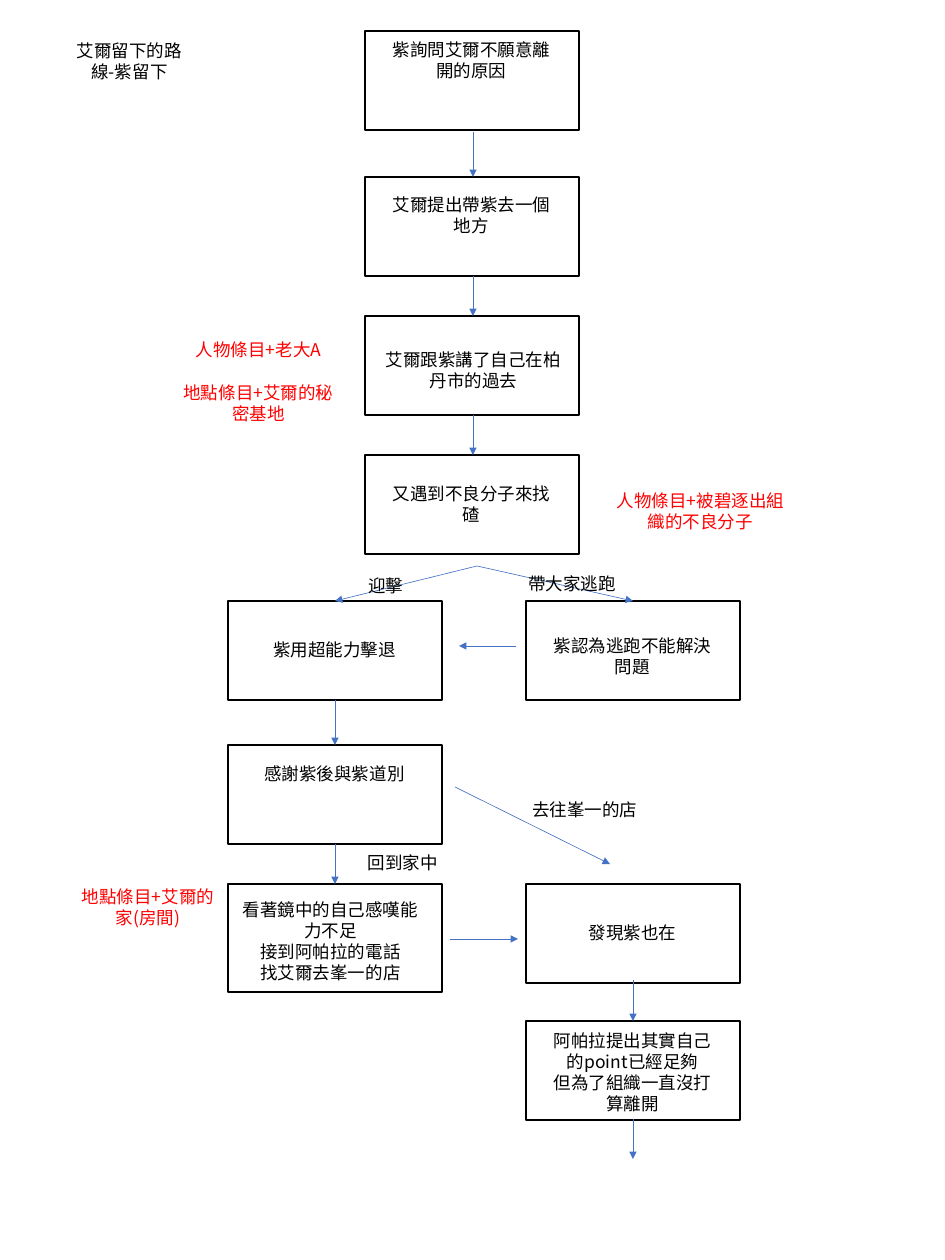
import pptx
import pptx.util
import pptx.dml.color
import pptx.enum.shapes
import pptx.enum.text
import pptx.oxml
import pptx.oxml.ns

PX = 10160  # EMU in one pixel, 90 pixels to the inch
FONT = "Noto Sans CJK SC"
BLACK, WHITE, RED, BLUE = "000000", "FFFFFF", "FF0000", "4472C4"


def color(value):
    return pptx.dml.color.RGBColor.from_string(value)


def add_text(shapes, x, y, w, h, lines, ink=BLACK, gap=0):
    tb = shapes.add_textbox(x * PX, y * PX, w * PX, h * PX)
    tf = tb.text_frame
    tf.word_wrap = True
    tf.auto_size = pptx.enum.text.MSO_AUTO_SIZE.SHAPE_TO_FIT_TEXT
    tf.text = lines
    for i, p in enumerate(tf.paragraphs):
        p.alignment = pptx.enum.text.PP_ALIGN.CENTER
        if i:
            p.space_before = pptx.util.Pt(gap)
        for r in p.runs:
            r.font.size = pptx.util.Pt(14)
            r.font.name = FONT
            r.font.color.rgb = color(ink)
            ea = pptx.oxml.parse_xml(
                '<a:ea %s typeface="%s"/>' % (pptx.oxml.ns.nsdecls("a"), FONT))
            r.font._element.append(ea)


prs = pptx.Presentation()
prs.slide_width, prs.slide_height = 945 * PX, 1260 * PX
slide = prs.slides.add_slide(prs.slide_layouts[6])

# Step boxes: left, top, height, text top, text width, text height, text
BOX_W, BOX_H = 214, 99
LEFT, MID, RIGHT = 228, 365, 526
steps = [
    (MID, 31, BOX_H, 35, 183, 51, "紫詢問艾爾不願意離開的原因"),
    (MID, 177, BOX_H, 190, 183, 51, "艾爾提出帶紫去一個地方"),
    (MID, 316, BOX_H, 345, 197, 51, "艾爾跟紫講了自己在柏丹市的過去"),
    (MID, 455, BOX_H, 479, 183, 51, "又遇到不良分子來找碴"),
    (LEFT, 601, BOX_H, 635, 187, 31, "紫用超能力擊退"),
    (RIGHT, 601, BOX_H, 631, 187, 51, "紫認為逃跑不能解決問題"),
    (LEFT, 745, BOX_H, 759, 183, 31, "感謝紫後與紫道別"),
    (LEFT, 884, 108, 895, 197, 94,
     "看著鏡中的自己感嘆能力不足\n接到阿帕拉的電話\n找艾爾去峯一的店"),
    (RIGHT, 884, BOX_H, 918, 187, 31, "發現紫也在"),
    (RIGHT, 1021, BOX_H, 1026, 183, 94,
     "阿帕拉提出其實自己的point已經足夠\n但為了組織一直沒打算離開"),
]
for x, y, h, text_y, text_w, text_h, text in steps:
    group = slide.shapes.add_group_shape()
    sp = group.shapes.add_shape(pptx.enum.shapes.MSO_SHAPE.RECTANGLE,
                                x * PX, y * PX, BOX_W * PX, h * PX)
    sp.shadow.inherit = False
    sp.fill.solid()
    sp.fill.fore_color.rgb = color(WHITE)
    sp.line.color.rgb = color(BLACK)
    sp.line.width = pptx.util.Pt(1)
    text_x = x + (BOX_W - text_w) // 2
    if text_w == 197:  # the wide texts sit a little left of centre
        text_x = x + (10 if x == MID else 4)
    add_text(group.shapes, text_x, text_y, text_w, text_h, text)

# Arrows: from x, y to x, y
mid_x, left_x, right_x = 473, 335, 633
arrows = [
    (mid_x, 132, mid_x, 177),
    (mid_x, 276, mid_x, 316),
    (mid_x, 415, mid_x, 455),
    (477, 566, left_x, 601),
    (477, 566, right_x, 601),
    (516, 646, 459, 646),
    (left_x, 700, left_x, 745),
    (left_x, 844, left_x, 884),
    (455, 787, 610, 864),
    (450, 939, 518, 939),
    (right_x, 980, right_x, 1021),
    (right_x, 1119, right_x, 1159),
]
for ends in arrows:
    line = slide.shapes.add_connector(
        pptx.enum.shapes.MSO_CONNECTOR.STRAIGHT, *[v * PX for v in ends])
    line.line.color.rgb = color(BLUE)
    line.line.width = pptx.util.Pt(0.5)
    ns = pptx.oxml.ns.nsdecls("a")
    line.line._get_or_add_ln().append(
        pptx.oxml.parse_xml('<a:tailEnd %s type="triangle"/>' % ns))
    line._element.spPr.append(pptx.oxml.parse_xml("<a:effectLst %s/>" % ns))

# Title, branch labels and red notes: left, top, width, height, text, colour, gap
labels = [
    (61, 36, 137, 51, "艾爾留下的路線-紫留下", BLACK, 0),
    (319, 571, 134, 31, "迎擊", BLACK, 0),
    (505, 569, 134, 31, "帶大家逃跑", BLACK, 0),
    (336, 848, 134, 31, "回到家中", BLACK, 0),
    (518, 795, 134, 31, "去往峯一的店", BLACK, 0),
    (167, 335, 183, 94, "人物條目+老大A\n地點條目+艾爾的秘密基地", RED, 17),
    (72, 882, 152, 51, "地點條目+艾爾的家(房間)", RED, 0),
    (607, 486, 187, 51, "人物條目+被碧逐出組織的不良分子", RED, 0),
]
for label in labels:
    add_text(slide.shapes, *label)

prs.save("out.pptx")
